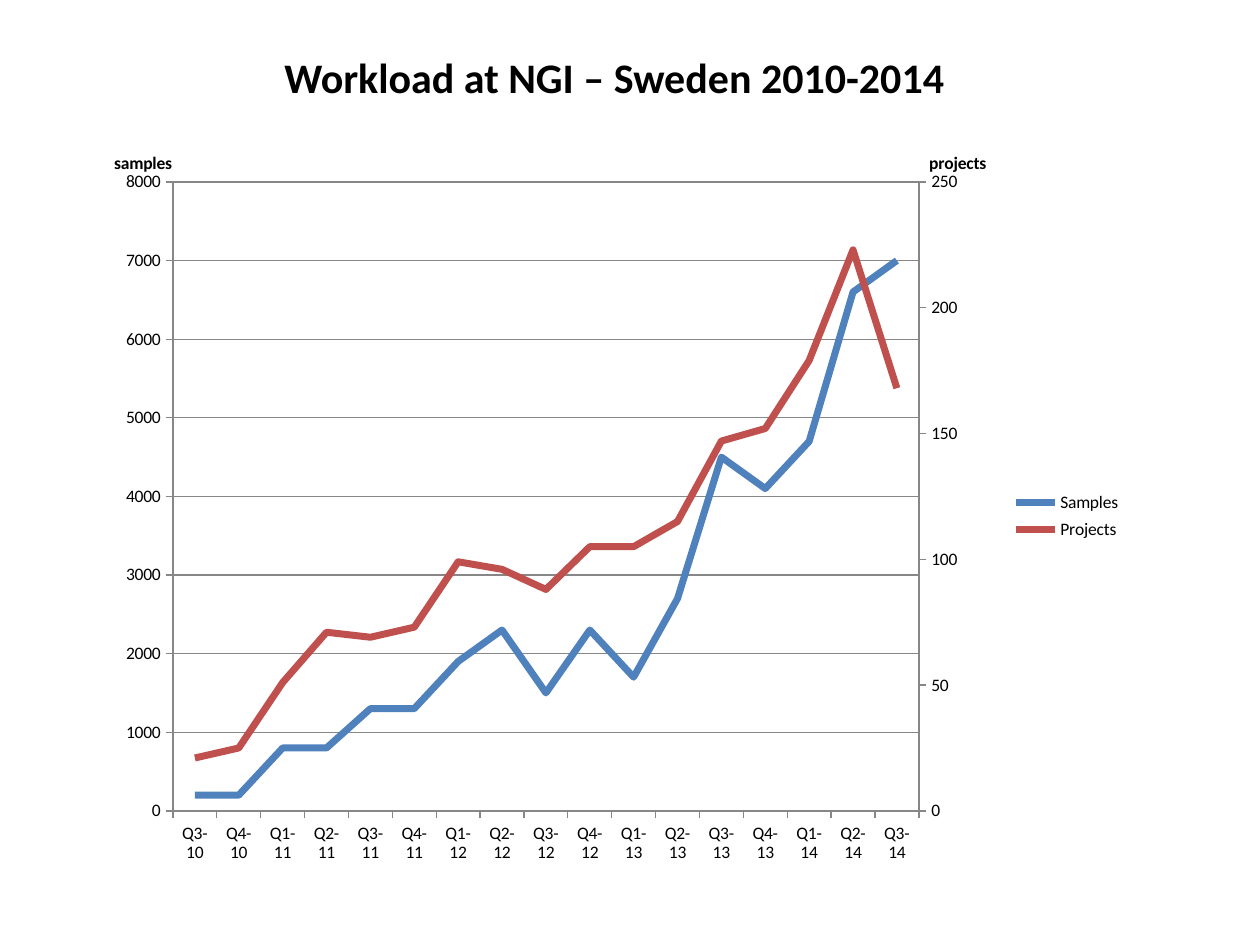
"""Build a slide with a two-axis line chart of quarterly workload."""
import copy

import pptx
import pptx.chart.data
import pptx.dml.color
import pptx.enum.chart
import pptx.enum.text
import pptx.oxml
import pptx.oxml.ns
import pptx.util

SCALE = 914400 / 126
CHART_WIDTH, CHART_HEIGHT = 1109, 765
THEME = {
    "font": "Calibri",
    "text": pptx.dml.color.RGBColor.from_string("000000"),
    "axis": pptx.dml.color.RGBColor.from_string("878787"),
    "series": [pptx.dml.color.RGBColor.from_string(code) for code in ("4F81BD", "C0504D")],
    "title_size": pptx.util.Pt(24),
    "chart_size": pptx.util.Pt(10),
    "axis_width": pptx.util.Pt(0.75),
    "series_width": pptx.util.Pt(4),
}
QUARTERS = [f"Q{index % 4 + 1}-{10 + index // 4}" for index in range(2, 19)]
SAMPLES = [200, 200, 800, 800, 1300, 1300, 1900, 2300, 1500, 2300, 1700, 2700, 4500, 4100, 4700, 6600, 7000]
PROJECTS = [21, 25, 51, 71, 69, 73, 99, 96, 88, 105, 105, 115, 147, 152, 179, 223, 168]


def px(*lengths):
    return [pptx.util.Emu(round(length * SCALE)) for length in lengths]


def place(parent, position, inner=False, **lengths):
    for old in parent.findall(pptx.oxml.ns.qn("c:layout")):
        parent.remove(old)
    target = '<c:layoutTarget val="inner"/>' if inner else ""
    modes = "".join(f'<c:{name}Mode val="edge"/>' for name in lengths if name in "xy")
    values = "".join(f'<c:{name} val="{length / (CHART_WIDTH if name in "xw" else CHART_HEIGHT)}"/>'
                     for name, length in lengths.items())
    parent.insert(position, pptx.oxml.parse_xml(
        f'<c:layout {pptx.oxml.ns.nsdecls("c")}><c:manualLayout>{target}{modes}{values}</c:manualLayout></c:layout>'))


deck = pptx.Presentation()
deck.slide_width, deck.slide_height = px(1260, 945)
page = deck.slides.add_slide(deck.slide_layouts[6])

data = pptx.chart.data.CategoryChartData()
data.categories = QUARTERS
data.add_series("Samples", SAMPLES)
data.add_series("Projects", PROJECTS)
chart = page.shapes.add_chart(
    pptx.enum.chart.XL_CHART_TYPE.LINE, *px(64, 136, CHART_WIDTH, CHART_HEIGHT), data).chart
chart.has_title = False
chart.font.name = THEME["font"]
chart.font.size = THEME["chart_size"]
chart.font.color.rgb = THEME["text"]
chart.has_legend = True
chart.legend.position = pptx.enum.chart.XL_LEGEND_POSITION.RIGHT
chart.legend.include_in_layout = False

for series, color in zip(chart.plots[0].series, THEME["series"]):
    series.smooth = False
    series.format.line.color.rgb = color
    series.format.line.width = THEME["series_width"]

value_axis = chart.value_axis
value_axis.has_major_gridlines = True
for line in (chart.category_axis.format.line, value_axis.format.line, value_axis.major_gridlines.format.line):
    line.color.rgb = THEME["axis"]
    line.width = THEME["axis_width"]
for axis in (chart.category_axis, value_axis):
    axis.major_tick_mark = pptx.enum.chart.XL_TICK_MARK.OUTSIDE
    axis.minor_tick_mark = pptx.enum.chart.XL_TICK_MARK.NONE
value_axis.minimum_scale, value_axis.maximum_scale, value_axis.major_unit = 0, 8000, 1000
value_axis.tick_labels.number_format = "General"
value_axis.tick_labels.number_format_is_linked = False
value_axis.axis_title.text_frame.text = "samples"

box = page.shapes.add_textbox(*px(272, 45, 707, 63))
box.text_frame.word_wrap = True
box.text_frame.auto_size = pptx.enum.text.MSO_AUTO_SIZE.SHAPE_TO_FIT_TEXT
box.text_frame.text = "Workload at NGI – Sweden 2010-2014"

for frame, size in ((value_axis.axis_title.text_frame, "chart_size"), (box.text_frame, "title_size")):
    span = frame.paragraphs[0].runs[0]
    span.font.name = THEME["font"]
    span.font.size = THEME[size]
    span.font.bold = True
    span.font.color.rgb = THEME["text"]

plot_area = chart.element.xpath("//c:plotArea")[0]
left_plot = plot_area.xpath("c:lineChart")[0]
category_axis_xml = plot_area.xpath("c:catAx")[0]
left_axis = plot_area.xpath("c:valAx")[0]
title_body = left_axis.xpath("c:title//a:bodyPr")[0]
title_body.set("rot", "0")
title_body.set("vert", "horz")

right_plot = copy.deepcopy(left_plot)
right_axis = copy.deepcopy(left_axis)
hidden_axis = copy.deepcopy(category_axis_xml)
left_plot.remove(left_plot.xpath("c:ser")[1])
right_plot.remove(right_plot.xpath("c:ser")[0])
left_plot.addnext(right_plot)
left_axis.addnext(right_axis)
right_axis.addnext(hidden_axis)

for element, identifiers in ((right_plot, (5001, 5002)), (hidden_axis, (5001, 5002)), (right_axis, (5002, 5001))):
    for node, identifier in zip(element.xpath("c:axId | c:crossAx"), identifiers):
        node.set("val", str(identifier))
hidden_axis.xpath("c:delete")[0].set("val", "1")
right_axis.remove(right_axis.xpath("c:majorGridlines")[0])
right_axis.xpath("c:title//a:t")[0].text = "projects"
for name, value in (("axPos", "r"), ("crosses", "max"), ("scaling/c:max", "250"), ("majorUnit", "50")):
    right_axis.xpath(f"c:{name}")[0].set("val", value)

place(plot_area, 0, inner=True, x=109, y=46, w=746, h=629)
for axis_xml, left in ((left_axis, 47), (right_axis, 862)):
    place(axis_xml.xpath("c:title")[0], 1, x=left, y=12)
place(chart.element.xpath("//c:legend")[0], 1, x=942, y=350, w=122, h=60)

deck.save("out.pptx")
